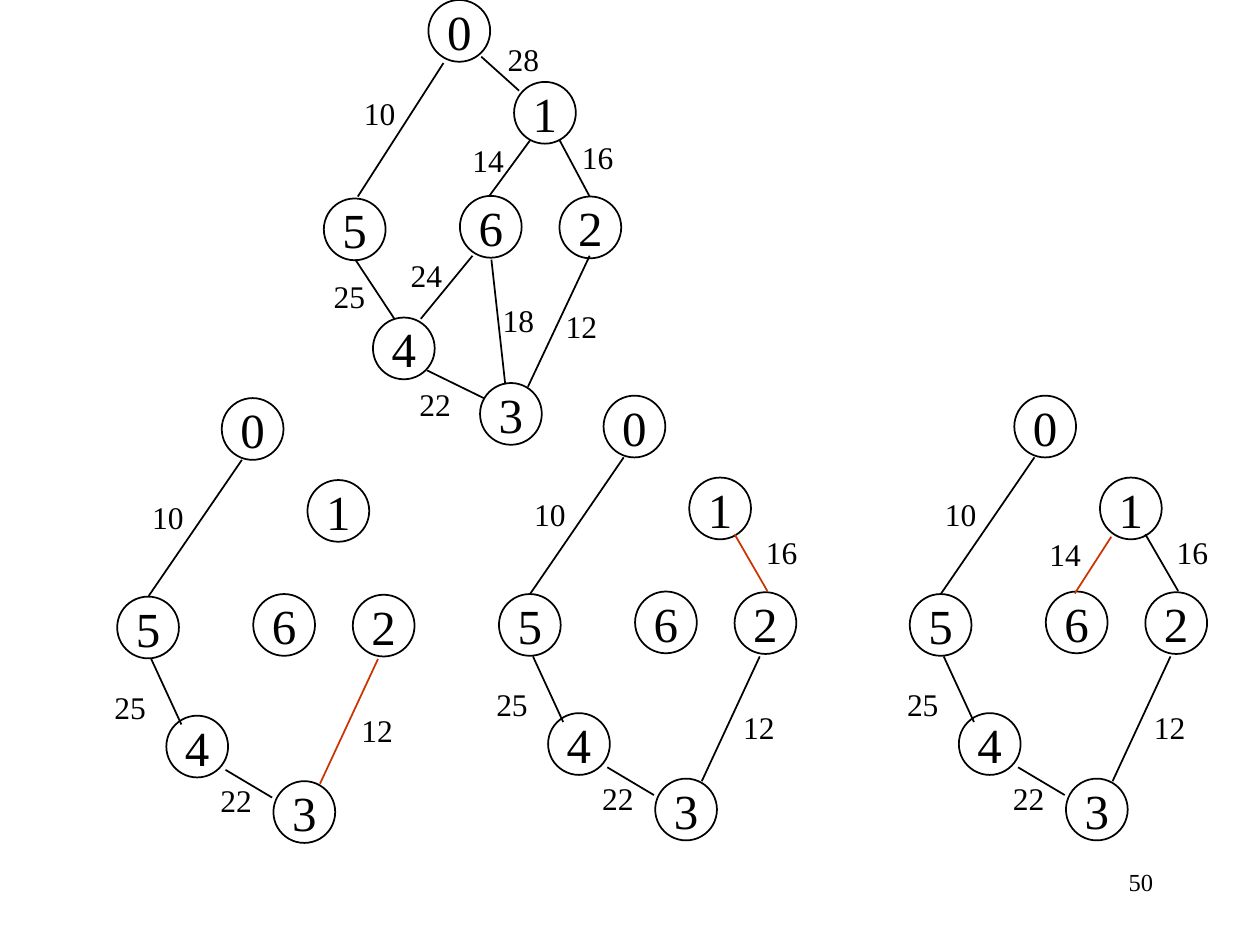
"""Build the slide of a weighted graph and three steps of its spanning tree."""
from pptx import Presentation, util as u
from pptx.dml.color import RGBColor
from pptx.enum import shapes, text
from pptx.oxml.ns import qn
from lxml import etree

BLACK = RGBColor(0x00, 0x00, 0x00)
WHITE = RGBColor(0xFF, 0xFF, 0xFF)
NEW_EDGE = RGBColor(0xCC, 0x33, 0x00)
FONT = "Times New Roman"
CELL = u.Inches(0.01)
NODE = 49
LABEL = (48, 43)

NODES = [(83, 0), (151, 65), (187, 156), (124, 304), (39, 252), (0, 157.5), (108, 155.5)]

GRAPH_EDGES = [
    (10, (95, 50), (27, 156), (22, 70)),
    (28, (125, 45), (155, 72), (136, 27)),
    (16, (187, 111), (211, 156), (195, 105)),
    (14, (164, 111), (131, 156), (108, 107)),
    (12, (211, 203), (162, 307), (182, 239)),
    (18, (133, 206), (144, 305), (132, 234)),
    (24, (118, 203), (77, 253), (59, 198)),
    (25, (25, 206), (56, 253), (-2, 215)),
    (22, (82, 294), (127, 316), (66, 301)),
]
TREE_EDGES = [
    (10, (99, 49), (25, 157), (18, 74)),
    (25, (27, 207), (51, 259), (-12, 225)),
    (22, (86, 295), (123, 317), (72, 299)),
    (12, (207, 207), (161, 306), (184, 243)),
    (16, (213, 155), (187, 110), (202, 104)),
    (14, (160, 112), (131, 157), (101, 106)),
]
TREES = [((93, 316), 4), ((396, 314), 5), ((722, 314), 6)]


def place(origin, offset):
    """Return the slide position of a grid offset from an origin."""
    return [round((start + step) * CELL) for start, step in zip(origin, offset)]


def write(frame, words, size, align=text.PP_ALIGN.LEFT, anchor=text.MSO_ANCHOR.TOP,
          wrap=False, fit=text.MSO_AUTO_SIZE.NONE):
    """Put formatted words into a text frame."""
    frame.auto_size = fit
    frame.word_wrap = wrap
    frame.vertical_anchor = anchor
    paragraph = frame.paragraphs[0]
    paragraph.alignment = align
    run = paragraph.add_run()
    run.text = str(words)
    run.font.size = u.Pt(size)
    run.font.name = FONT
    run.font.color.rgb = BLACK


def draw_nodes(canvas, origin):
    """Draw the numbered vertices."""
    for number, offset in enumerate(NODES):
        vertex = canvas.add_shape(shapes.MSO_SHAPE.OVAL, *place(origin, offset),
                                  NODE * CELL, NODE * CELL)
        vertex.shadow.inherit = False
        vertex.fill.solid()
        vertex.fill.fore_color.rgb = WHITE
        vertex.line.color.rgb = BLACK
        vertex.line.width = u.Pt(1)
        write(vertex.text_frame, number, 28, align=text.PP_ALIGN.CENTER,
              anchor=text.MSO_ANCHOR.MIDDLE)


def draw_edge(canvas, origin, edge, color=BLACK):
    """Draw one edge with its weight."""
    weight, start, end, label_offset = edge
    line = canvas.add_connector(shapes.MSO_CONNECTOR.STRAIGHT,
                                *place(origin, start), *place(origin, end))
    line.line.color.rgb = color
    line.line.width = u.Pt(1)
    etree.SubElement(line._element.spPr, qn("a:effectLst"))
    label = canvas.add_textbox(*place(origin, label_offset), *(side * CELL for side in LABEL))
    write(label.text_frame, weight, 18, fit=text.MSO_AUTO_SIZE.SHAPE_TO_FIT_TEXT)


def draw_graph(canvas, origin):
    """Draw the full weighted graph."""
    draw_nodes(canvas, origin)
    for edge in GRAPH_EDGES:
        draw_edge(canvas, origin, edge)


def draw_tree(canvas, origin, count):
    """Draw a spanning tree step whose newest edge is highlighted."""
    draw_nodes(canvas.add_group_shape().shapes, origin)
    for step, edge in enumerate(TREE_EDGES[:count], start=1):
        draw_edge(canvas, origin, edge, NEW_EDGE if step == count else BLACK)


def draw_page_number(canvas, origin, number):
    """Write the page number in the lower right corner."""
    box = canvas.add_textbox(*place(origin, (0, 0)), 208 * CELL, 50 * CELL)
    write(box.text_frame, number, 14, align=text.PP_ALIGN.RIGHT, wrap=True)


deck = Presentation()
deck.slide_width, deck.slide_height = u.Inches(10), u.Inches(7.5)
canvas = deck.slides.add_slide(deck.slide_layouts[6]).shapes
draw_page_number(canvas, (717, 683), 50)
for tree_origin, edge_count in TREES:
    draw_tree(canvas, tree_origin, edge_count)
draw_graph(canvas, (257, 0))
deck.save("out.pptx")
